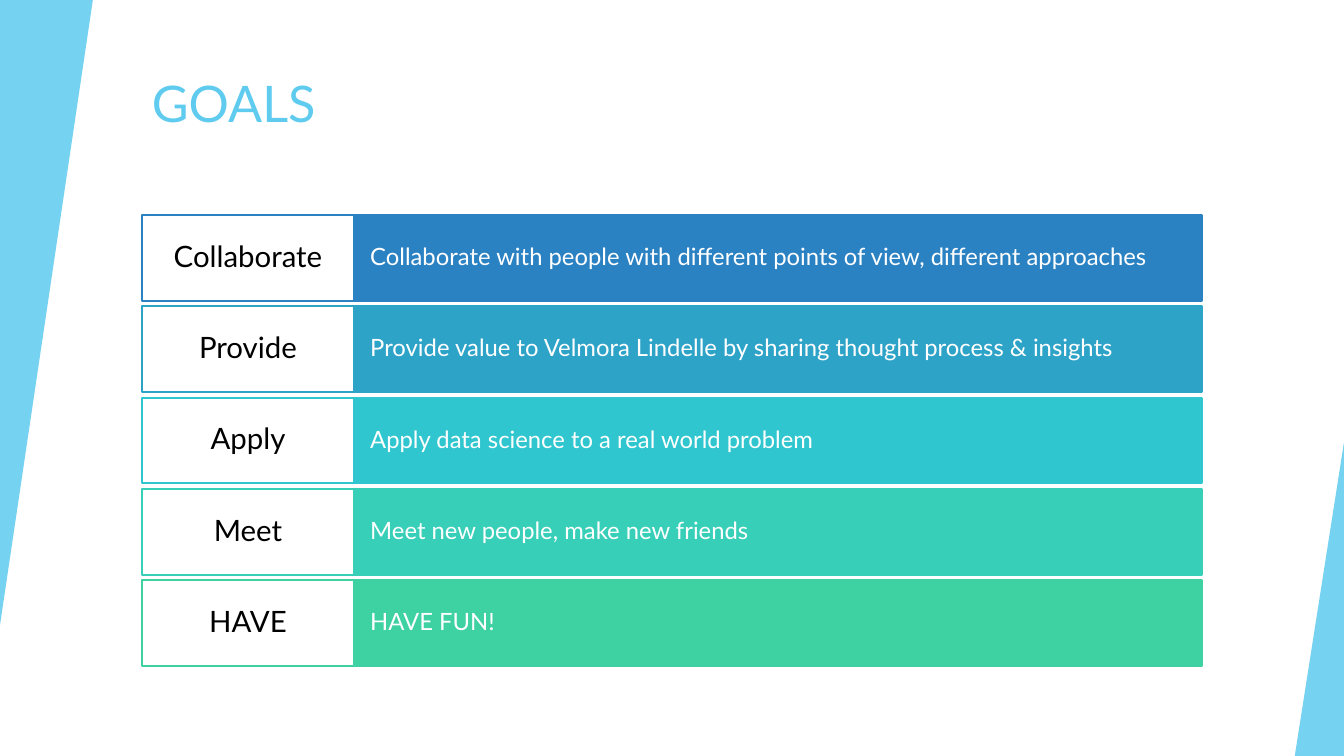
from lxml import etree
from pptx import Presentation
from pptx.dml.color import RGBColor
from pptx.enum.shapes import MSO_SHAPE
from pptx.enum.text import MSO_ANCHOR, PP_ALIGN
from pptx.oxml.ns import qn
from pptx.util import Cm, Pt

RECTANGLE = MSO_SHAPE.RECTANGLE
TRIANGLE = MSO_SHAPE.ISOSCELES_TRIANGLE
TOP, MIDDLE = MSO_ANCHOR.TOP, MSO_ANCHOR.MIDDLE
LEFT, CENTER = PP_ALIGN.LEFT, PP_ALIGN.CENTER

SLIDE_WIDTH, SLIDE_HEIGHT = 33.87, 19.05
FONT = "Lato"
SKY, WHITE, BLACK = "5FCBEF", "FFFFFF", "000000"

GOALS = [
    ("Collaborate", "2B82C3",
     "Collaborate with people with different points of view, different approaches"),
    ("Provide", "2EA3C8",
     "Provide value to Velmora Lindelle by sharing thought process & insights"),
    ("Apply", "30C6CF", "Apply data science to a real world problem"),
    ("Meet", "38CFB9", "Meet new people, make new friends"),
    ("HAVE", "3ED1A1", "HAVE FUN!"),
]

TITLE_FORMAT = {"size": 36, "color": SKY, "align": LEFT, "anchor": TOP,
                "spacing": 1.0, "margins": (0.25, 0.13)}
LABEL_FORMAT = {"size": 21, "color": BLACK, "align": CENTER, "anchor": MIDDLE,
                "spacing": 0.9, "margins": (0.28, 0.2)}
BAR_FORMAT = {"size": 17, "color": WHITE, "align": LEFT, "anchor": MIDDLE,
              "spacing": 0.9, "margins": (0.41, 0.56)}


def color(hex_string):
    return RGBColor.from_string(hex_string)


def write_text(shape, text, style):
    frame = shape.text_frame
    paragraph = frame.paragraphs[0]
    run = paragraph.add_run()
    run.text = text
    side, end = (Cm(margin) for margin in style["margins"])
    settings = {
        frame: {"word_wrap": True, "vertical_anchor": style["anchor"],
                "margin_left": side, "margin_right": side,
                "margin_top": end, "margin_bottom": end},
        paragraph: {"alignment": style["align"], "line_spacing": style["spacing"]},
        run.font: {"name": FONT, "size": Pt(style["size"])},
    }
    for target, values in settings.items():
        for name, value in values.items():
            setattr(target, name, value)
    run.font.color.rgb = color(style["color"])


def add_filled_shape(slide, kind, box, fill):
    shape = slide.shapes.add_shape(kind, *(Cm(length) for length in box))
    shape.shadow.inherit = False
    shape.fill.solid()
    shape.fill.fore_color.rgb = color(fill)
    return shape


def add_side_triangle(slide, box, rotation=0):
    """Place a translucent right triangle whose apex lies on its right edge."""
    triangle = add_filled_shape(slide, TRIANGLE, box, SKY)
    triangle.adjustments[0] = 1.0
    triangle.rotation = rotation
    triangle.line.fill.background()
    fill_color = triangle._element.spPr.find(qn("a:solidFill")).find(qn("a:srgbClr"))
    etree.SubElement(fill_color, qn("a:alpha"), val="85000")


def add_side_decoration(slide, box):
    left, top, width, height = box
    add_side_triangle(slide, (left, top, 2.34, 15.75), rotation=180)
    right_width, right_height = 1.24, 7.9
    add_side_triangle(slide, (left + width - right_width, top + height - right_height,
                              right_width, right_height))


def add_title(slide, box):
    title = slide.shapes.add_textbox(*(Cm(length) for length in box))
    write_text(title, "GOALS", TITLE_FORMAT)


def add_goal_list(slide, box):
    left, top, width, height = box
    gap = 0.14
    row_height = (height - gap * (len(GOALS) - 1)) / len(GOALS)
    label_width = width / 5
    for index, (label, row_color, goal) in enumerate(GOALS):
        row_top = top + index * (row_height + gap)
        cells = [
            (left + label_width, width - label_width, row_color, goal, BAR_FORMAT),
            (left, label_width, WHITE, label, LABEL_FORMAT),
        ]
        for cell_left, cell_width, fill, text, style in cells:
            cell = add_filled_shape(
                slide, RECTANGLE, (cell_left, row_top, cell_width, row_height), fill)
            cell.line.color.rgb = color(row_color)
            cell.line.width = Pt(1.5)
            write_text(cell, text, style)


def main():
    presentation = Presentation()
    presentation.slide_width = Cm(SLIDE_WIDTH)
    presentation.slide_height = Cm(SLIDE_HEIGHT)
    slide = presentation.slides.add_slide(presentation.slide_layouts[6])
    add_side_decoration(slide, (0, 0, SLIDE_WIDTH, SLIDE_HEIGHT))
    add_title(slide, (3.58, 1.7, 28.32, 3.05))
    add_goal_list(slide, (3.58, 5.42, 26.7, 11.36))
    presentation.save("out.pptx")


if __name__ == "__main__":
    main()
